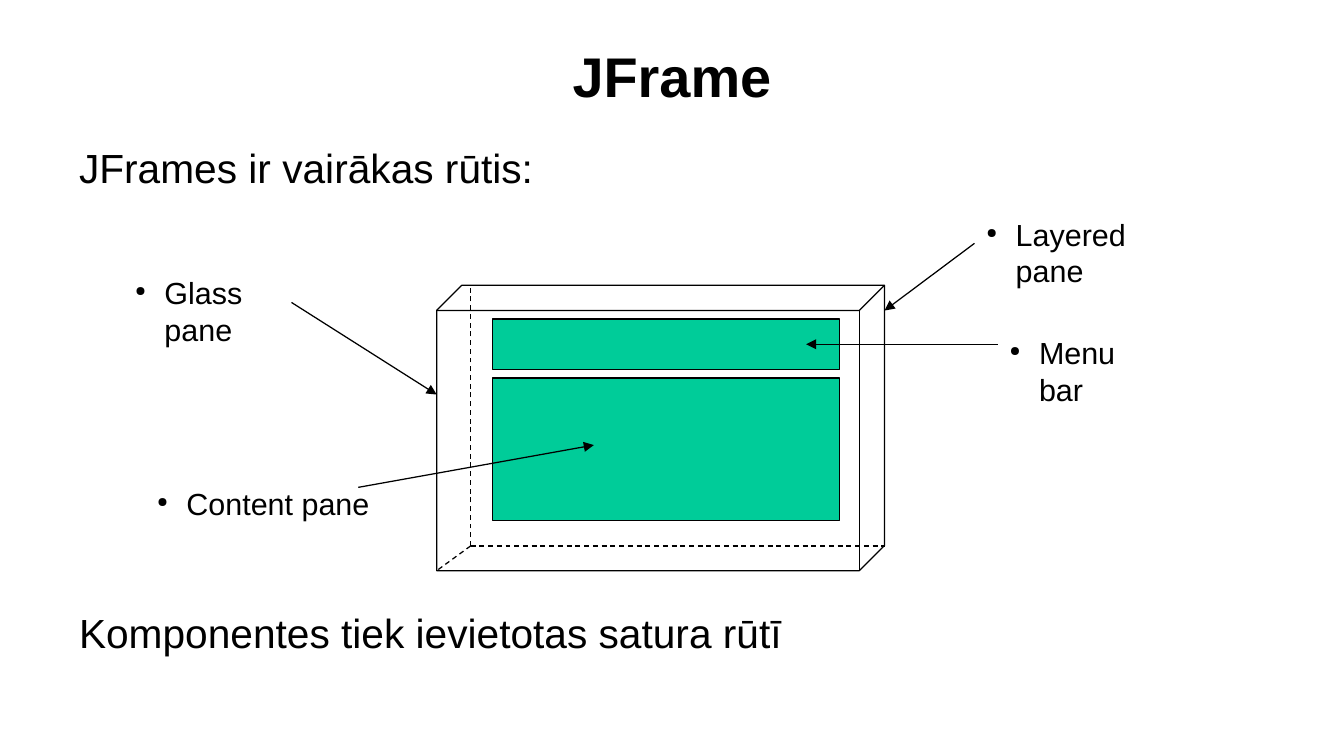
from typing import NamedTuple

from lxml.etree import SubElement
from pptx import Presentation
from pptx.dml.color import RGBColor
from pptx.enum.dml import MSO_LINE
from pptx.enum.shapes import MSO_CONNECTOR, MSO_SHAPE
from pptx.enum.text import MSO_ANCHOR, PP_ALIGN
from pptx.oxml.ns import qn
from pptx.shapes.autoshape import Shape
from pptx.shapes.connector import Connector
from pptx.slide import Slide
from pptx.util import Pt

BLACK = RGBColor(0x00, 0x00, 0x00)
PANE_GREEN = RGBColor(0x00, 0xCC, 0x99)
FONT = "Arial"
LINE_WIDTH = 0.75


class Point(NamedTuple):
    x: float
    y: float


class Box(NamedTuple):
    left: float
    top: float
    width: float
    height: float


class PaneLabel(NamedTuple):
    text: str
    box: Box
    arrow_start: Point
    arrow_end: Point


TITLE_BOX = Box(39.6, 18, 714.2, 52.6)
STATEMENTS = [
    ("JFrames ir vairākas rūtis:", Box(39.6, 80.6, 698.4, 40)),
    ("Komponentes tiek ievietotas satura rūtī", Box(39.6, 355.6, 698.4, 40)),
]

FRAME = Box(257.8, 168.5, 264.4, 168.5)
FRAME_DEPTH = 0.088
FRAME_RIGHT = FRAME.left + FRAME.width
FRAME_BOTTOM = FRAME.top + FRAME.height
HIDDEN_CORNER = Point(277.8, 322.4)
HIDDEN_EDGE_ENDS = [
    Point(HIDDEN_CORNER.x, FRAME.top),
    Point(FRAME_RIGHT, HIDDEN_CORNER.y),
    Point(FRAME.left, FRAME_BOTTOM),
]

MENU_BAR = Box(290.8, 188.4, 205, 29.8)
CONTENT_PANE = Box(290.8, 223.2, 205, 84.2)

LABELS = [
    PaneLabel("Glass pane", Box(72.7, 158.4, 122.4, 28.8),
              Point(172.1, 178.6), Point(FRAME.left, 233)),
    PaneLabel("Layered pane", Box(575.3, 123.8, 141.1, 28.8),
              Point(575.3, 143.7), Point(FRAME_RIGHT, 183.4)),
    PaneLabel("Menu bar", Box(589, 193.7, 107.3, 28.8),
              Point(589, 203.3), Point(475.9, 203.3)),
    PaneLabel("Content pane", Box(85.7, 283, 139.7, 28.8),
              Point(211.5, 287.8), Point(350.6, 262.8)),
]


def add_text(slide: Slide, text: str, box: Box, size: float) -> Shape:
    text_box = slide.shapes.add_textbox(*map(Pt, box))
    frame = text_box.text_frame
    frame.word_wrap = True
    paragraph = frame.paragraphs[0]
    paragraph.text = text
    font = paragraph.font
    font.name, font.size, font.color.rgb = FONT, Pt(size), BLACK
    return text_box


def add_title(slide: Slide, text: str) -> None:
    frame = add_text(slide, text, TITLE_BOX, 33).text_frame
    frame.vertical_anchor = MSO_ANCHOR.MIDDLE
    frame.paragraphs[0].alignment = PP_ALIGN.CENTER
    frame.paragraphs[0].font.bold = True


def add_outlined_shape(slide: Slide, kind: MSO_SHAPE, box: Box,
                       fill: RGBColor | None = None) -> Shape:
    shape = slide.shapes.add_shape(kind, *map(Pt, box))
    shape.shadow.inherit = False
    if fill is None:
        shape.fill.background()
    else:
        shape.fill.solid()
        shape.fill.fore_color.rgb = fill
    shape.line.color.rgb = BLACK
    shape.line.width = Pt(LINE_WIDTH)
    return shape


def add_line(slide: Slide, start: Point, end: Point) -> Connector:
    line = slide.shapes.add_connector(
        MSO_CONNECTOR.STRAIGHT, *map(Pt, (*start, *end)))
    line.line.color.rgb = BLACK
    line.line.width = Pt(LINE_WIDTH)
    SubElement(line.line._get_or_add_ln().getparent(), qn("a:effectLst"))
    return line


def add_pane_label(slide: Slide, label: PaneLabel) -> None:
    """Add a bulleted label and the arrow that leads from it to its pane."""
    frame = add_text(slide, label.text, label.box, 18).text_frame
    frame.word_wrap = False
    properties = frame.paragraphs[0]._p.get_or_add_pPr()
    properties.set("marL", str(Pt(17.3)))
    properties.set("indent", str(Pt(-17.3)))
    bullet_color = SubElement(properties, qn("a:buClr"))
    SubElement(bullet_color, qn("a:srgbClr"), val=str(BLACK))
    SubElement(properties, qn("a:buSzPct"), val="45000")
    SubElement(properties, qn("a:buChar"), char="●")
    # Schema order puts the default run properties after the bullet.
    properties.append(properties.find(qn("a:defRPr")))

    arrow = add_line(slide, label.arrow_start, label.arrow_end)
    SubElement(arrow.line._get_or_add_ln(), qn("a:tailEnd"), type="triangle")


def main() -> None:
    presentation = Presentation()
    presentation.slide_width = Pt(793.44)
    presentation.slide_height = Pt(446.4)
    slide = presentation.slides.add_slide(presentation.slide_layouts[6])

    add_title(slide, "JFrame")
    for text, box in STATEMENTS:
        add_text(slide, text, box, 24)

    frame = add_outlined_shape(slide, MSO_SHAPE.CUBE, FRAME)
    frame.adjustments[0] = FRAME_DEPTH
    for end in HIDDEN_EDGE_ENDS:
        add_line(slide, HIDDEN_CORNER, end).line.dash_style = MSO_LINE.DASH
    for pane in (MENU_BAR, CONTENT_PANE):
        add_outlined_shape(slide, MSO_SHAPE.RECTANGLE, pane, PANE_GREEN)
    for label in LABELS:
        add_pane_label(slide, label)

    presentation.save("out.pptx")


if __name__ == "__main__":
    main()
